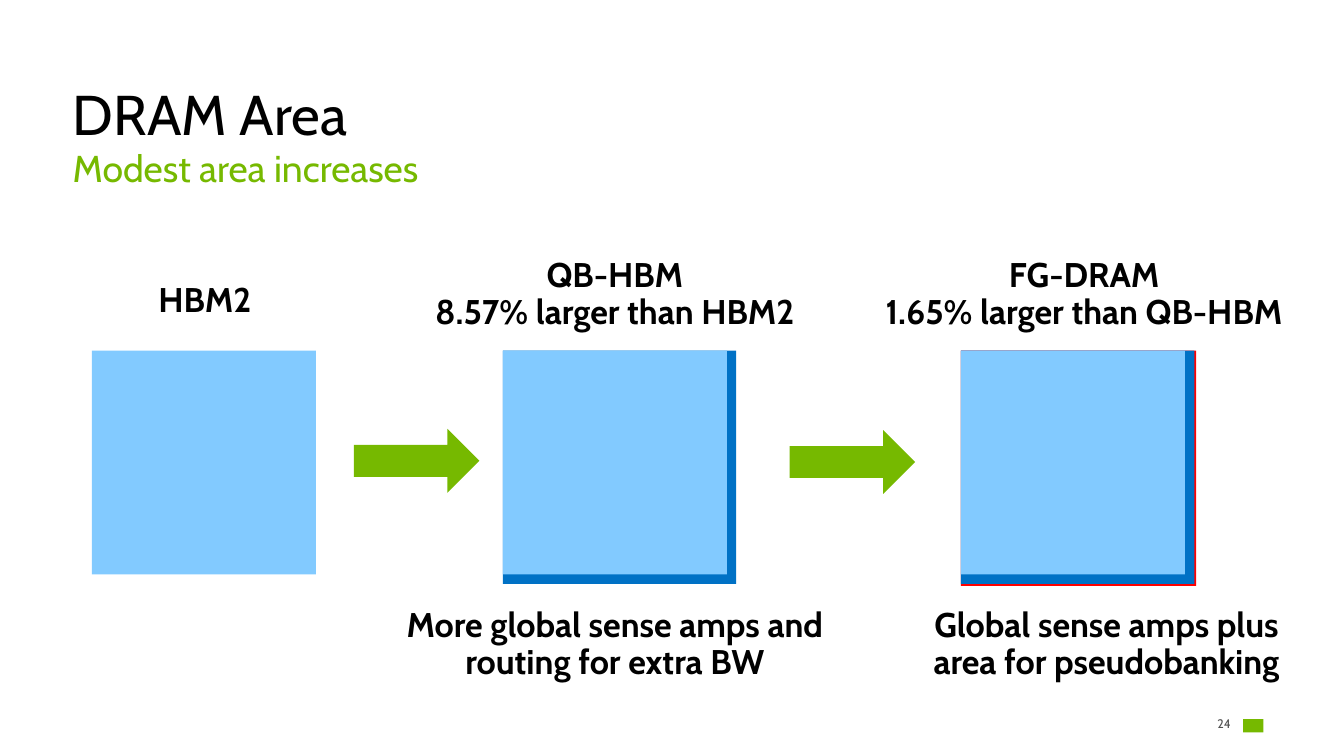
from math import sqrt

from pptx import Presentation
from pptx.dml.color import RGBColor
from pptx.enum.shapes import MSO_SHAPE
from pptx.enum.text import MSO_ANCHOR, PP_ALIGN
from pptx.util import Inches, Pt

RECTANGLE, ARROW = MSO_SHAPE.RECTANGLE, MSO_SHAPE.RIGHT_ARROW
TOP, MIDDLE, BOTTOM = MSO_ANCHOR.TOP, MSO_ANCHOR.MIDDLE, MSO_ANCHOR.BOTTOM
LEFT, CENTER, RIGHT = PP_ALIGN.LEFT, PP_ALIGN.CENTER, PP_ALIGN.RIGHT

BLACK = RGBColor(0x00, 0x00, 0x00)
GRAY = RGBColor(0x50, 0x50, 0x50)
GREEN = RGBColor(0x76, 0xB9, 0x00)
LIGHT_BLUE = RGBColor(0x82, 0xCA, 0xFF)
BLUE = RGBColor(0x00, 0x71, 0xC5)
RED = RGBColor(0xFF, 0x00, 0x00)
FONT = "Cabin"

TITLE = "DRAM Area"
SUBTITLE = "Modest area increases"
PAGE_NUMBER = "24"
LABELS = [
    ("HBM2", (0.85, 2.48, 1.96, 0.42)),
    ("QB-HBM\n8.57% larger than HBM2", (3.37, 2.25, 4.24, 0.76)),
    ("FG-DRAM\n1.65% larger than QB-HBM", (7.61, 2.25, 4.14, 0.76)),
    ("More global sense amps and routing for extra BW", (3.37, 5.38, 4.24, 0.76)),
    ("Global sense amps plus\narea for pseudobanking", (7.76, 5.38, 4.24, 0.76)),
]
AREA_STEPS = [(1, LIGHT_BLUE), (1.0857, BLUE), (1.0165, RED)]
DIE_LEFTS = [0.82, 4.49, 8.58]
DIE_TOP, BASE_SIDE = 3.13, 2
ARROWS = [(3.16, 3.83), (7.05, 3.84)]
ARROW_SIZE = (1.12, 0.57)

prs = Presentation()
prs.slide_width, prs.slide_height = Inches(12), Inches(6.75)
slide = prs.slides.add_slide(prs.slide_layouts[6])


def add_text(text, area, size, color=BLACK, bold=False, align=LEFT,
             anchor=MIDDLE, margins=(0.1, 0.05)):
    frame = slide.shapes.add_textbox(*map(Inches, area)).text_frame
    frame.word_wrap = True
    frame.vertical_anchor = anchor
    frame.margin_left = frame.margin_right = Inches(margins[0])
    frame.margin_top = frame.margin_bottom = Inches(margins[1])
    frame.text = text
    for paragraph in frame.paragraphs:
        paragraph.alignment = align
        paragraph.line_spacing = 0.9
        for run in paragraph.runs:
            run.font.name = FONT
            run.font.size = Pt(size)
            run.font.bold = bold
            run.font.color.rgb = color


def add_block(kind, area, color):
    block = slide.shapes.add_shape(kind, *map(Inches, area))
    block.shadow.inherit = False
    block.fill.solid()
    block.fill.fore_color.rgb = color
    block.line.fill.background()


add_text(TITLE, (0.55, 0.72, 10.91, 0.65), 36, anchor=BOTTOM)
add_text(SUBTITLE, (0.55, 1.29, 10.91, 0.57), 24, GREEN, anchor=TOP)

layers = []
total_area = 1
for growth, color in AREA_STEPS:
    total_area *= growth
    layers.append((BASE_SIDE * sqrt(total_area), color))

for count, left in enumerate(DIE_LEFTS, start=1):
    for side, color in reversed(layers[:count]):
        add_block(RECTANGLE, (left, DIE_TOP, side, side), color)

for position in ARROWS:
    add_block(ARROW, position + ARROW_SIZE, GREEN)

for label, area in LABELS:
    add_text(label, area, 22, bold=True, align=CENTER, margins=(0.09, 0.04))

add_text(PAGE_NUMBER, (10.68, 6.37, 0.31, 0.19), 8, GRAY, align=RIGHT, margins=(0, 0))
add_block(RECTANGLE, (11.1, 6.42, 0.18, 0.12), GREEN)

prs.save("out.pptx")
